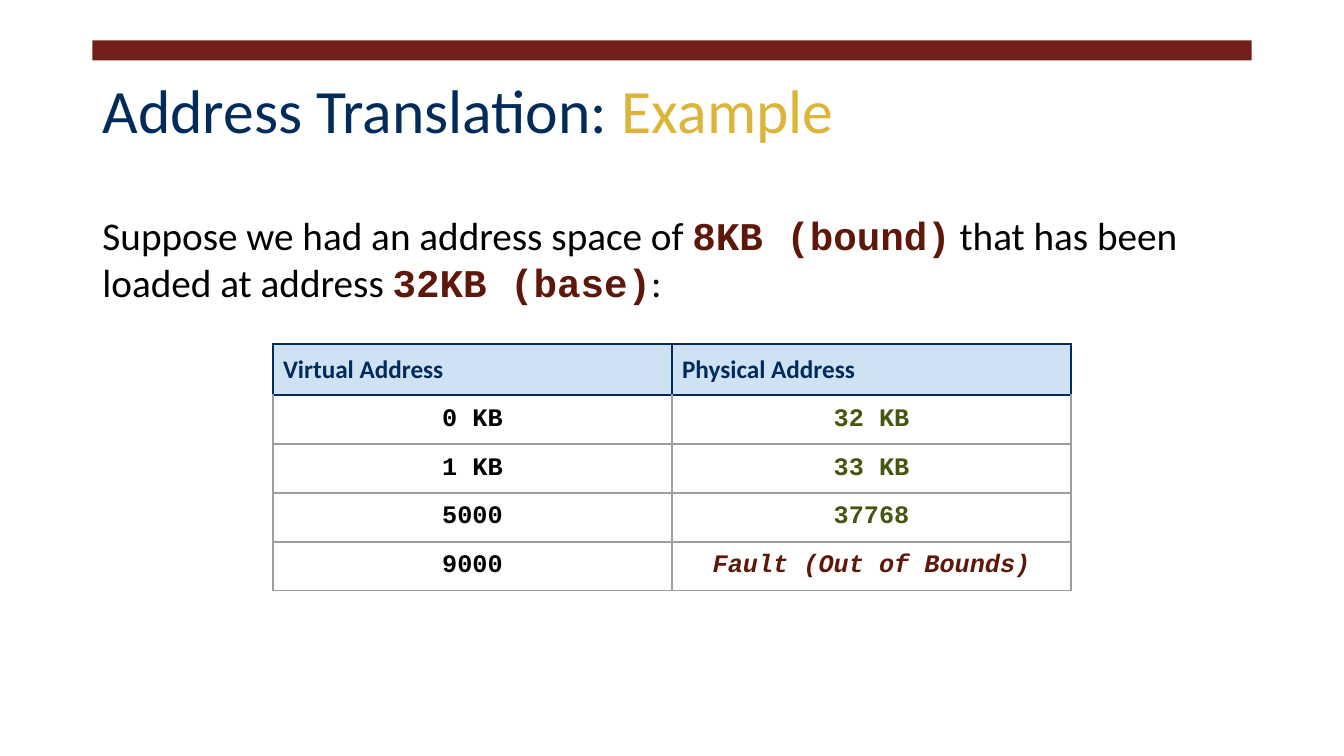
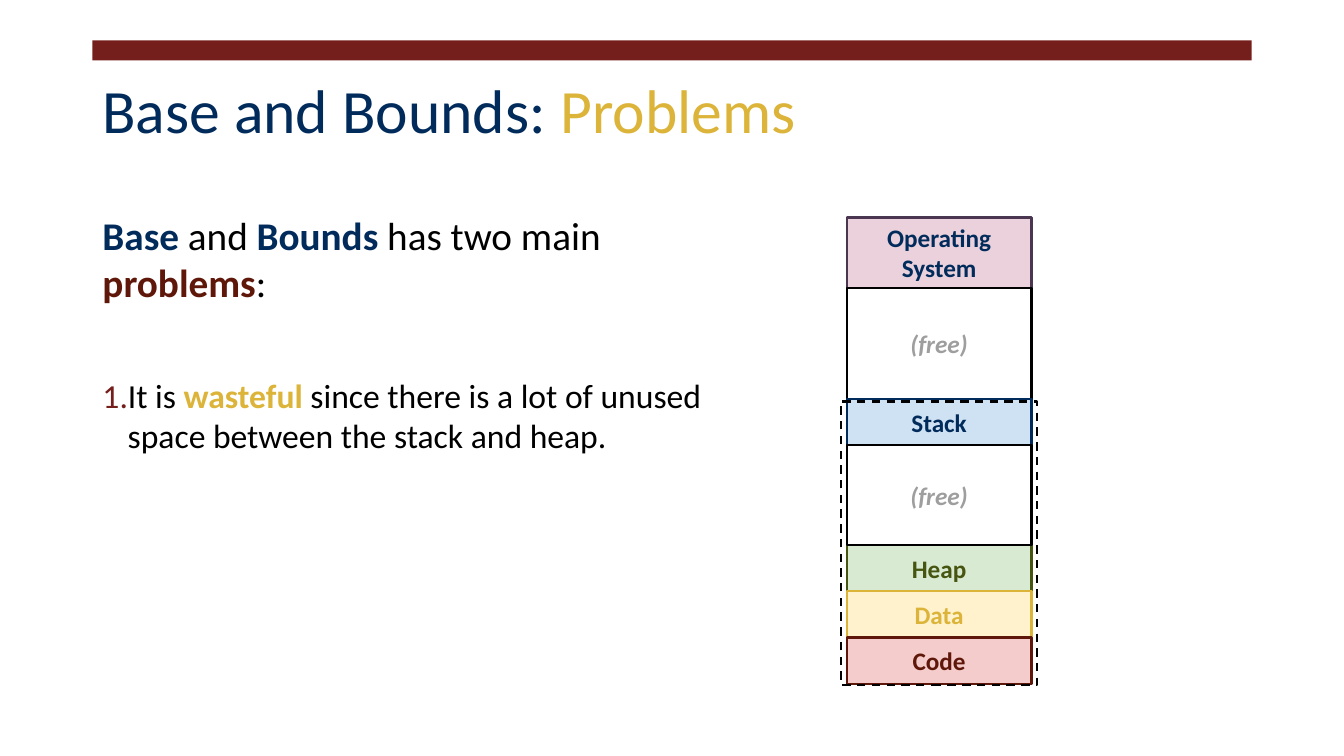
from dataclasses import dataclass
from itertools import accumulate
from typing import NamedTuple

from pptx import Presentation
from pptx.dml.color import RGBColor as Rgb
from pptx.enum.dml import MSO_LINE_DASH_STYLE as Dash
from pptx.enum.shapes import MSO_SHAPE as Kind
from pptx.enum.text import MSO_ANCHOR as Anchor, MSO_AUTO_SIZE as Fit, PP_ALIGN as Align
from pptx.oxml.ns import qn
from pptx.util import Emu, Inches, Pt
from lxml.etree import SubElement as Sub


@dataclass(frozen=True)
class Theme:
    """Colours, fonts and type sizes of the deck."""

    navy: str = "002B5B"
    gold: str = "DCB439"
    wine: str = "5F1709"
    band: str = "751F1C"
    green: str = "465510"
    plum: str = "4A3651"
    black: str = "000000"
    white: str = "FFFFFF"
    gray: str = "9E9E9E"
    sky: str = "CFE2F3"
    pink: str = "EAD1DC"
    mint: str = "D9EAD3"
    cream: str = "FFF2CC"
    rose: str = "F4CCCC"
    sans: str = "Calibri"
    mono: str = "Courier New"
    head: int = 44
    lead: int = 28
    item: int = 24
    label: int = 18
    line: float = 1.5


T = Theme()
WIDE, HIGH = Inches(13.33), Inches(7.5)
COLS, ROWS = 160, 90


class Box(NamedTuple):
    """A place in columns and rows of the slide grid."""

    x: float
    y: float
    w: float
    h: float

    def emu(self) -> tuple[Emu, Emu, Emu, Emu]:
        """Return left, top, width and height as lengths."""
        col, row = WIDE / COLS, HIGH / ROWS
        return (Emu(round(self.x * col)), Emu(round(self.y * row)),
                Emu(round(self.w * col)), Emu(round(self.h * row)))


class Bit(NamedTuple):
    """A stretch of text in one format."""

    text: str
    color: str = T.black
    bold: bool = False
    font: str = T.sans
    slant: bool = False


class Block(NamedTuple):
    """One region of the memory stack."""

    bit: Bit
    high: float
    fill: str
    edge: str


BAND = Box(11, 4.8, 138, 2.4)
TITLE = Box(11, 4.8, 138, 17.4)
BODY = Box(11, 24, 138, 64.2)
HALF = Box(11, 24, 80.3, 64.2)
TABLE = Box(32.5, 41, 95, 29)
STACK = Box(100.8, 25.9, 22, 55.5)


def write(para, text: str, *, size: float, color: str = T.black, font: str = T.sans,
          bold: bool = False, slant: bool = False) -> None:
    """Add text to a paragraph in the given format."""
    run = para.add_run()
    run.text = text
    face = run.font
    face.size, face.name, face.bold, face.italic = Pt(size), font, bold, slant
    face.color.rgb = Rgb.from_string(color)


def fill(para, bits: list[Bit], size: float, align=Align.LEFT) -> None:
    """Write a row of bits into one aligned paragraph."""
    para.alignment = align
    for bit in bits:
        write(para, bit.text, size=size, color=bit.color, font=bit.font,
              bold=bit.bold, slant=bit.slant)


def inset(item) -> None:
    """Set equal inner margins on a frame or a cell."""
    item.margin_left = item.margin_right = Inches(0.1)
    item.margin_top = item.margin_bottom = Inches(0.1)


def place(holder, box: Box, anchor):
    """Move a placeholder and return its text frame."""
    holder.left, holder.top, holder.width, holder.height = box.emu()
    frame = holder.text_frame
    frame.word_wrap, frame.auto_size = True, Fit.NONE
    frame.vertical_anchor = anchor
    inset(frame)
    return frame


def space(para, gap: float, number: bool = False) -> None:
    """Set the space before a paragraph and its number, if any."""
    para.space_before = Pt(gap)
    props = para._p.get_or_add_pPr()
    dent = Inches(0.25) if number else 0
    props.set("marL", str(dent))
    props.set("indent", str(-dent))
    if number:
        Sub(Sub(props, qn("a:buClr")), qn("a:srgbClr"), val=T.band)
        Sub(props, qn("a:buFont"), typeface=T.sans)
        Sub(props, qn("a:buAutoNum"), type="arabicPeriod")
    else:
        Sub(props, qn("a:buNone"))


def rect(slide, box: Box, tint: str | None, edge: str | None):
    """Draw a plain rectangle."""
    shape = slide.shapes.add_shape(Kind.RECTANGLE, *box.emu())
    shape.shadow.inherit = False
    if tint:
        shape.fill.solid()
        shape.fill.fore_color.rgb = Rgb.from_string(tint)
    else:
        shape.fill.background()
    if edge:
        shape.line.color.rgb = Rgb.from_string(edge)
        shape.line.width = Pt(T.line)
    else:
        shape.line.fill.background()
    return shape


def start(deck, topic: str, focus: str, box: Box):
    """Add a titled slide and return it with its body frame."""
    slide = deck.slides.add_slide(deck.slide_layouts[1])
    frame = place(slide.shapes.title, TITLE, Anchor.MIDDLE)
    para = frame.paragraphs[0]
    para.line_spacing = 0.9
    fill(para, [Bit(topic, T.navy), Bit(focus, T.gold)], T.head)
    return slide, place(slide.placeholders[1], box, Anchor.TOP)


def brand(deck, slide) -> None:
    """Put the top band on the slide master."""
    band = rect(slide, BAND, T.band, None)
    band.element.nvSpPr.cNvPr.set("id", "20")
    deck.slide_master.shapes.element.append(band.element)


def border(cell, top: str, rest: str) -> None:
    """Rule the four sides of a table cell."""
    props = cell._tc.get_or_add_tcPr()
    for side, color in zip("LRTB", (rest, rest, top, rest)):
        line = Sub(props, qn(f"a:ln{side}"), w=str(Pt(T.line)))
        Sub(Sub(line, qn("a:solidFill")), qn("a:srgbClr"), val=color)


def table(slide, rows: list[list[Bit]], box: Box) -> None:
    """Draw a table with a tinted head row."""
    grid = slide.shapes.add_table(len(rows), len(rows[0]), *box.emu()).table
    grid.first_row = grid.horz_banding = False
    for r, row in enumerate(rows):
        for c, bit in enumerate(row):
            cell = grid.cell(r, c)
            inset(cell)
            border(cell, T.navy if r < 2 else T.gray, T.gray if r else T.navy)
            if r:
                cell.fill.background()
            else:
                cell.fill.solid()
                cell.fill.fore_color.rgb = Rgb.from_string(T.sky)
            fill(cell.text_frame.paragraphs[0], [bit], T.label,
                 Align.CENTER if r else Align.LEFT)


def stack(slide, blocks: list[Block], order: tuple[int, ...], first: int) -> None:
    """Pile up blocks and frame those from the first one down."""
    tops = list(accumulate((b.high for b in blocks), initial=STACK.y))
    for i in order:
        block = blocks[i]
        shape = rect(slide, Box(STACK.x, tops[i], STACK.w, block.high),
                     block.fill, block.edge)
        frame = shape.text_frame
        frame.word_wrap, frame.vertical_anchor = True, Anchor.MIDDLE
        inset(frame)
        fill(frame.paragraphs[0], [block.bit], T.label, Align.CENTER)
    pad, drop = 0.7, 0.3
    frame = rect(slide, Box(STACK.x - pad, tops[first] + drop, STACK.w + 2 * pad,
                            tops[-1] - tops[first] - 0.2), None, T.black)
    frame.line.dash_style = Dash.DASH


def sample(deck) -> None:
    """Build the address translation slide."""
    slide, body = start(deck, "Address Translation: ", "Example", BODY)
    brand(deck, slide)
    para = body.paragraphs[0]
    space(para, 10)
    fill(para, [
        Bit("Suppose we had an address space of "),
        Bit("8KB (bound)", T.wine, True, T.mono),
        Bit(" that has been loaded at address "),
        Bit("32KB (base)", T.wine, True, T.mono),
        Bit(":"),
    ], T.lead)
    pairs = [("0 KB", "32 KB"), ("1 KB", "33 KB"), ("5000", "37768")]
    rows = [[Bit(t, T.navy, True) for t in ("Virtual Address", "Physical Address")]]
    rows += [[Bit(a, T.black, True, T.mono), Bit(b, T.green, True, T.mono)]
             for a, b in pairs]
    rows.append([Bit("9000", T.black, True, T.mono),
                 Bit("Fault (Out of Bounds)", T.wine, True, T.mono, True)])
    table(slide, rows, TABLE)


def limits(deck) -> None:
    """Build the base and bounds slide."""
    slide, body = start(deck, "Base and Bounds: ", "Problems", HALF)
    lead, item = body.paragraphs[0], body.add_paragraph()
    space(lead, 10)
    fill(lead, [
        Bit("Base", T.navy, True), Bit(" and "), Bit("Bounds", T.navy, True),
        Bit(" has two main "), Bit("problems", T.wine, True), Bit(":"),
    ], T.lead)
    space(item, 49, number=True)
    fill(item, [
        Bit("It is "), Bit("wasteful", T.gold, True),
        Bit(" since there is a lot of unused space between the stack and heap."),
    ], T.item)
    free = Bit("(free)", T.gray, True, slant=True)
    part = 5.5
    stack(slide, [
        Block(Bit("Operating System", T.navy, True), 8.4, T.pink, T.plum),
        Block(free, 13.2, T.white, T.black),
        Block(Bit("Stack", T.navy, True), part, T.sky, T.navy),
        Block(free, 11.9, T.white, T.black),
        Block(Bit("Heap", T.green, True), part, T.mint, T.green),
        Block(Bit("Data", T.gold, True), part, T.cream, T.gold),
        Block(Bit("Code", T.wine, True), part, T.rose, T.wine),
    ], order=(0, 1, 2, 4, 3, 5, 6), first=2)


def main() -> None:
    """Build and save the deck."""
    deck = Presentation()
    deck.slide_width, deck.slide_height = WIDE, HIGH
    sample(deck)
    limits(deck)
    deck.save("out.pptx")


if __name__ == "__main__":
    main()
